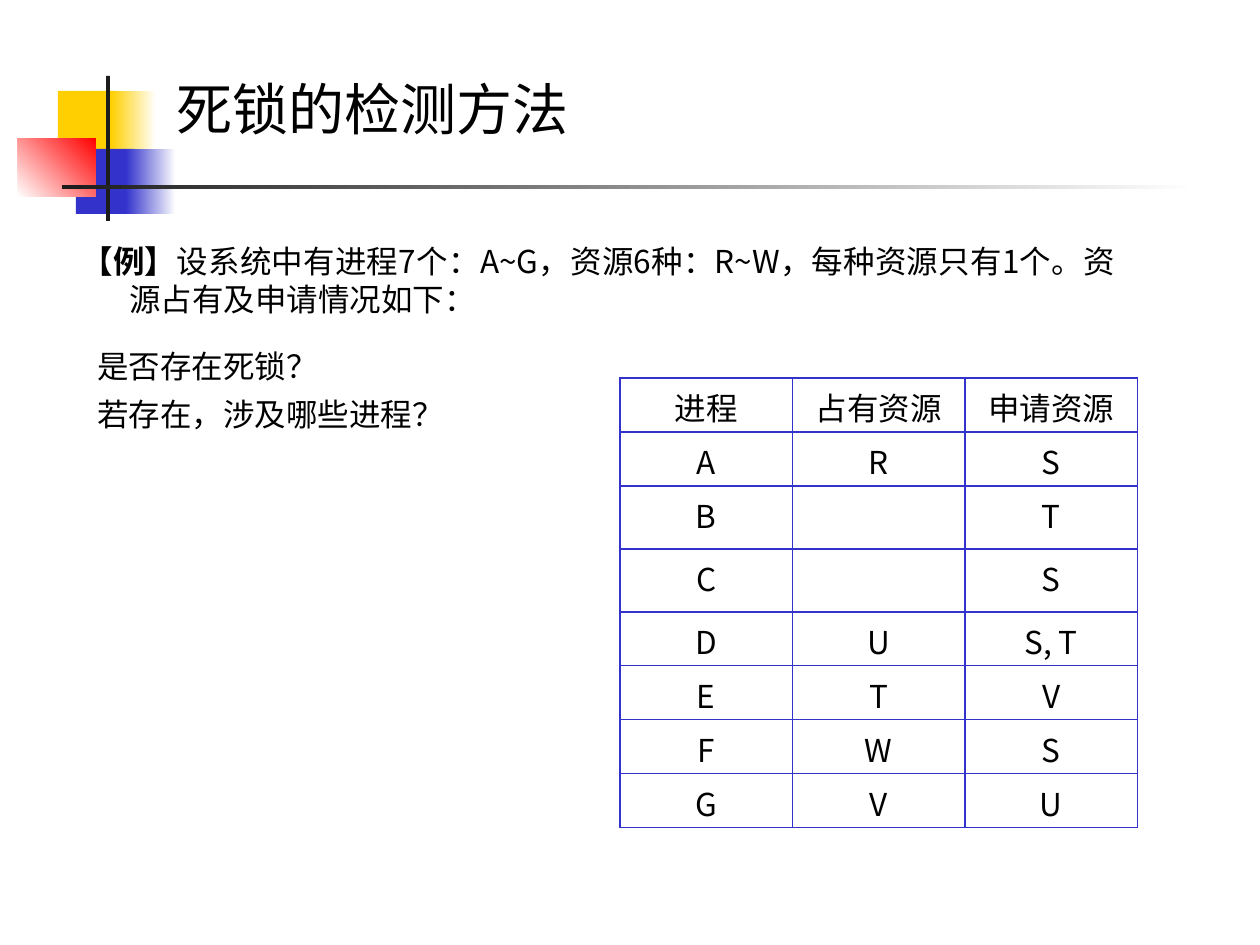
"""Builds a slide on deadlock detection with a resource allocation table."""
from lxml import etree
from pptx import Presentation
from pptx.dml.color import RGBColor
from pptx.enum.shapes import MSO_SHAPE
from pptx.enum.text import PP_ALIGN
from pptx.oxml.ns import qn
from pptx.util import Pt

RECT = MSO_SHAPE.RECTANGLE
LEFT, CENTER, JUSTIFY = PP_ALIGN.LEFT, PP_ALIGN.CENTER, PP_ALIGN.JUSTIFY
TITLE_FONT, BODY_FONT = "Noto Sans CJK JP", "Noto Sans CJK SC"
YELLOW, BLUE, RED = "FFCF01", "3333CC", "FF0000"
WHITE, BLACK, DARK = "FFFFFF", "000000", "1C1C1C"


def px(n):
    return round(n * 914400 / 126)


def rgb(value):
    return RGBColor.from_string(value)


class Deck:
    def __init__(self):
        self.prs = Presentation()
        self.prs.slide_width, self.prs.slide_height = px(1260), px(945)
        self.s = self.prs.slides.add_slide(self.prs.slide_layouts[6])

    def rect(self, box, color, end=None, angle=0):
        sp = self.s.shapes.add_shape(RECT, *map(px, box))
        sp.shadow.inherit = False
        sp.line.fill.background()
        if end is None:
            sp.fill.solid()
            sp.fill.fore_color.rgb = rgb(color)
            return
        sp.fill.gradient()
        sp.fill.gradient_angle = angle
        for stop, c in zip(sp.fill.gradient_stops, (color, end)):
            stop.color.rgb = rgb(c)

    def run(self, p, text, size=18, font=BODY_FONT, bold=False):
        r = p.add_run()
        r.text = text
        r.font.size, r.font.bold, r.font.name = Pt(size), bold, font
        r.font.color.rgb = rgb(BLACK)
        etree.SubElement(r.font._element, qn("a:ea"), typeface=font)

    def text(self, box, paragraphs, align=JUSTIFY, margin=0, indent=0,
             spacing=1.0, before=6, **style):
        tf = self.s.shapes.add_textbox(*map(px, box)).text_frame
        tf.word_wrap = True
        for i, runs in enumerate(paragraphs):
            p = tf.add_paragraph() if i else tf.paragraphs[0]
            p.alignment, p.line_spacing, p.space_before = align, spacing, Pt(before)
            pPr = p._p.get_or_add_pPr()
            pPr.set("marL", str(px(margin)))
            pPr.set("indent", str(px(indent)))
            for text, bold in runs:
                self.run(p, text, bold=bold, **style)

    def border(self, cell, color, width=0.75):
        tcPr = cell._tc.get_or_add_tcPr()
        for side in ("lnL", "lnR", "lnT", "lnB"):
            ln = etree.SubElement(tcPr, qn("a:" + side), w=str(Pt(width)))
            fill = etree.SubElement(ln, qn("a:solidFill"))
            etree.SubElement(fill, qn("a:srgbClr"), val=color)

    def table(self, x, y, col_width, heights, rows):
        cols = len(rows[0])
        box = (x, y, col_width * cols, sum(heights))
        table = self.s.shapes.add_table(len(rows), cols, *map(px, box)).table
        table.first_row = table.horz_banding = False
        for column in table.columns:
            column.width = px(col_width)
        for i, (height, values) in enumerate(zip(heights, rows)):
            table.rows[i].height = px(height)
            for j, value in enumerate(values):
                cell = table.cell(i, j)
                self.border(cell, BLUE)
                cell.fill.solid()
                cell.fill.fore_color.rgb = rgb(WHITE)
                cell.margin_bottom = 0
                p = cell.text_frame.paragraphs[0]
                p.alignment = CENTER
                if value:
                    self.run(p, value)


def main():
    d = Deck()
    d.rect((58, 91, 60, 65), YELLOW)
    d.rect((111, 91, 45, 65), YELLOW, WHITE)
    d.rect((76, 149, 58, 65), BLUE)
    d.rect((126, 149, 50, 65), BLUE, WHITE)
    d.rect((18, 138, 78, 59), WHITE, RED, angle=45)
    d.rect((106, 76, 4, 145), DARK)
    d.rect((62, 185, 1134, 4), DARK, WHITE)

    d.text((164, 76, 1096, 81), [[("死锁的检测方法", False)]], align=LEFT,
           spacing=0.9, before=20, size=32, font=TITLE_FONT)
    d.text((69, 236, 1058, 129), [[
        ("【例】", True),
        ("设系统中有进程7个：A~G，资源6种：R~W，每种资源只有1个。资源占有及申请情况如下：", False),
    ]], margin=48, indent=-48)

    rows = [
        ("进程", "占有资源", "申请资源"),
        ("A", "R", "S"),
        ("B", "", "T"),
        ("C", "", "S"),
        ("D", "U", "S, T"),
        ("E", "T", "V"),
        ("F", "W", "S"),
        ("G", "V", "U"),
    ]
    heights = [54 if all(values) else 63 for values in rows]
    d.table(620, 378, 172.5, heights, rows)

    d.text((64, 341, 491, 164),
           [[("是否存在死锁？", False)], [("若存在，涉及哪些进程？", False)]],
           margin=21)
    d.prs.save("out.pptx")


if __name__ == "__main__":
    main()
